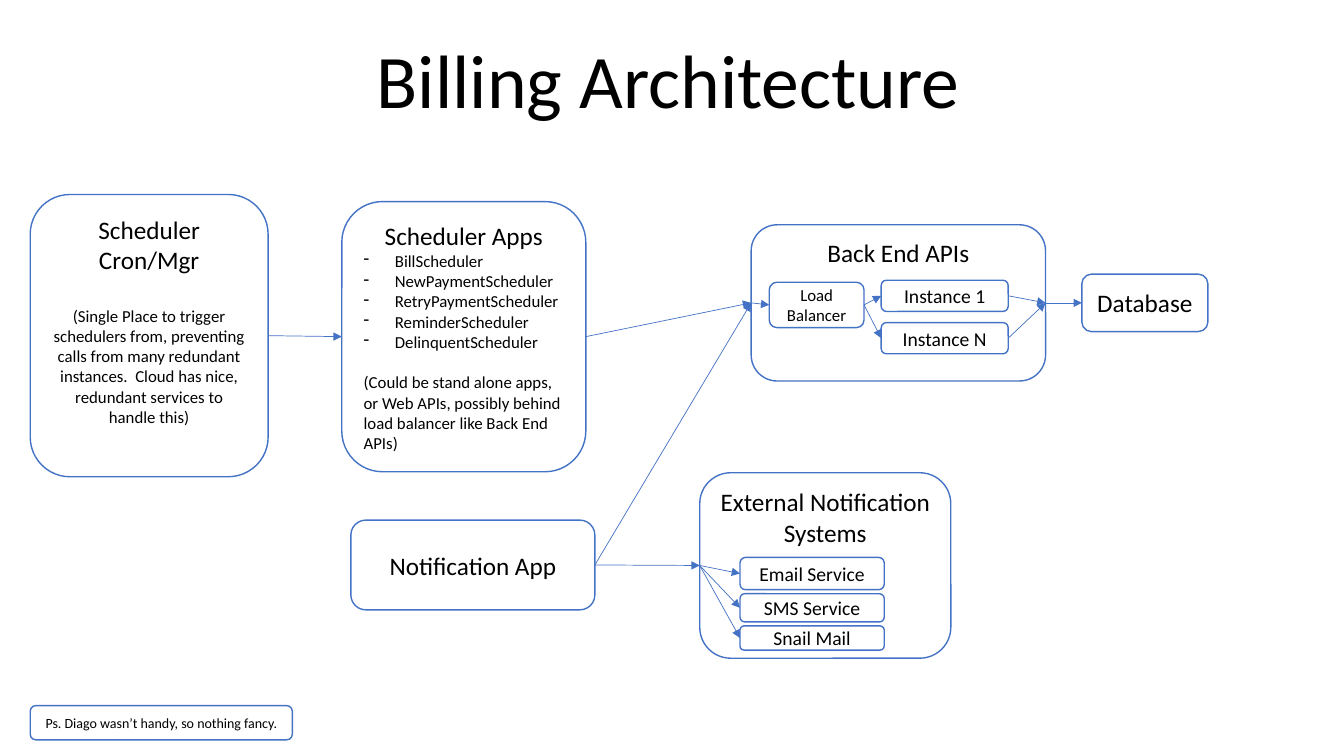
from lxml import etree
from pptx import Presentation
from pptx import util as u
from pptx.dml.color import RGBColor
from pptx.enum import shapes, text
from pptx.oxml.ns import qn

BLACK = RGBColor(0x00, 0x00, 0x00)
WHITE = RGBColor(0xFF, 0xFF, 0xFF)
BLUE = RGBColor(0x44, 0x72, 0xC4)
LEFT, RIGHT = 1, 3  # connection sites of a rectangle


def px(n):
    return u.Emu(n * 9144)  # 100 px to the inch


class Diagram:
    font = "Calibri"

    def __init__(self, prs):
        self.s = prs.slides.add_slide(prs.slide_layouts[6])

    def style(self, p, size, align=text.PP_ALIGN.CENTER):
        p.alignment = align
        p.font.name, p.font.size, p.font.color.rgb = self.font, u.Pt(size), BLACK

    def title(self, x, y, w, h, words):
        tf = self.s.shapes.add_textbox(px(x), px(y), px(w), px(h)).text_frame
        tf.word_wrap = True
        tf.vertical_anchor = text.MSO_ANCHOR.BOTTOM
        p = tf.paragraphs[0]
        p.text, p.line_spacing = words, 0.9
        self.style(p, 54)

    def box(self, x, y, w, h, words, size=18, anchor=text.MSO_ANCHOR.MIDDLE):
        sp = self.s.shapes.add_shape(shapes.MSO_SHAPE.ROUNDED_RECTANGLE,
                                     px(x), px(y), px(w), px(h))
        sp.shadow.inherit = False
        sp.fill.solid()
        sp.fill.fore_color.rgb = WHITE
        sp.line.color.rgb, sp.line.width = BLUE, u.Pt(1)
        tf = sp.text_frame
        tf.word_wrap, tf.vertical_anchor = True, anchor
        tf.paragraphs[0].text = words
        self.style(tf.paragraphs[0], size)
        return sp

    def detail(self, sp, words, align=text.PP_ALIGN.LEFT, before=0, bullet=False):
        p = sp.text_frame.add_paragraph()
        p.text, p.space_before = words, u.Pt(before)
        self.style(p, 12, align)
        if bullet:
            pPr = p._p.get_or_add_pPr()
            pPr.set("marL", str(px(31)))
            pPr.set("indent", str(-px(31)))
            bu = etree.Element(qn("a:buChar"), char="-")
            pPr.find(qn("a:defRPr")).addprevious(bu)

    def arrow(self, a, b, start=RIGHT, end=LEFT):
        c = self.s.shapes.add_connector(shapes.MSO_CONNECTOR.STRAIGHT, 0, 0, 0, 0)
        c.begin_connect(a, start)
        c.end_connect(b, end)
        c.line.color.rgb, c.line.width = BLUE, u.Pt(0.5)
        etree.SubElement(c.line._get_or_add_ln(), qn("a:tailEnd"), type="triangle")
        etree.SubElement(c._element.spPr, qn("a:effectLst"))


def main():
    prs = Presentation()
    prs.slide_width, prs.slide_height = px(1333), px(750)
    d = Diagram(prs)
    top = text.MSO_ANCHOR.TOP

    d.title(163, 45, 1000, 84, "Billing Architecture")

    # Scheduling
    cron = d.box(30, 193, 236, 280, "Scheduler Cron/Mgr")
    d.detail(cron, "(Single Place to trigger schedulers from, preventing calls from "
             "many redundant instances.  Cloud has nice, redundant services to "
             "handle this)", text.PP_ALIGN.CENTER, before=22)
    cron.text_frame.margin_bottom = px(35)

    apps = d.box(339, 200, 242, 268, "Scheduler Apps")
    for name in ("Bill", "NewPayment", "RetryPayment", "Reminder", "Delinquent"):
        d.detail(apps, name + "Scheduler", bullet=True)
    d.detail(apps, "(Could be stand alone apps, or Web APIs, possibly behind load "
             "balancer like Back End APIs)", before=14.6)

    # Back end
    back_end = d.box(745, 223, 292, 155, "Back End APIs", anchor=top)
    balancer = d.box(763, 280, 94, 45, "Load Balancer", 12)
    instances = [d.box(874, 278 + 42 * i, 126, 31, f"Instance {n}", 14)
                 for i, n in enumerate("1N")]
    database = d.box(1073, 272, 125, 57, "Database")

    # Notifications
    notifier = d.box(348, 516, 242, 89, "Notification App")
    external = d.box(694, 469, 249, 184, "External Notification Systems", anchor=top)
    services = [d.box(734, y, 143, h, name, 14) for y, h, name in (
        (553, 32, "Email Service"), (589, 28, "SMS Service"), (621, 24, "Snail Mail"))]

    # Footnote
    d.box(30, 700, 260, 34, "Ps. Diago wasn’t handy, so nothing fancy.", 10)

    # Arrows
    for a, b in ((cron, apps), (apps, back_end), (back_end, database),
                 (notifier, back_end), (notifier, external)):
        d.arrow(a, b)
    d.arrow(back_end, balancer, start=LEFT)
    for instance in instances:
        d.arrow(balancer, instance)
        d.arrow(instance, back_end, end=RIGHT)
    for service in services:
        d.arrow(external, service, start=LEFT)

    prs.save("out.pptx")


if __name__ == "__main__":
    main()
